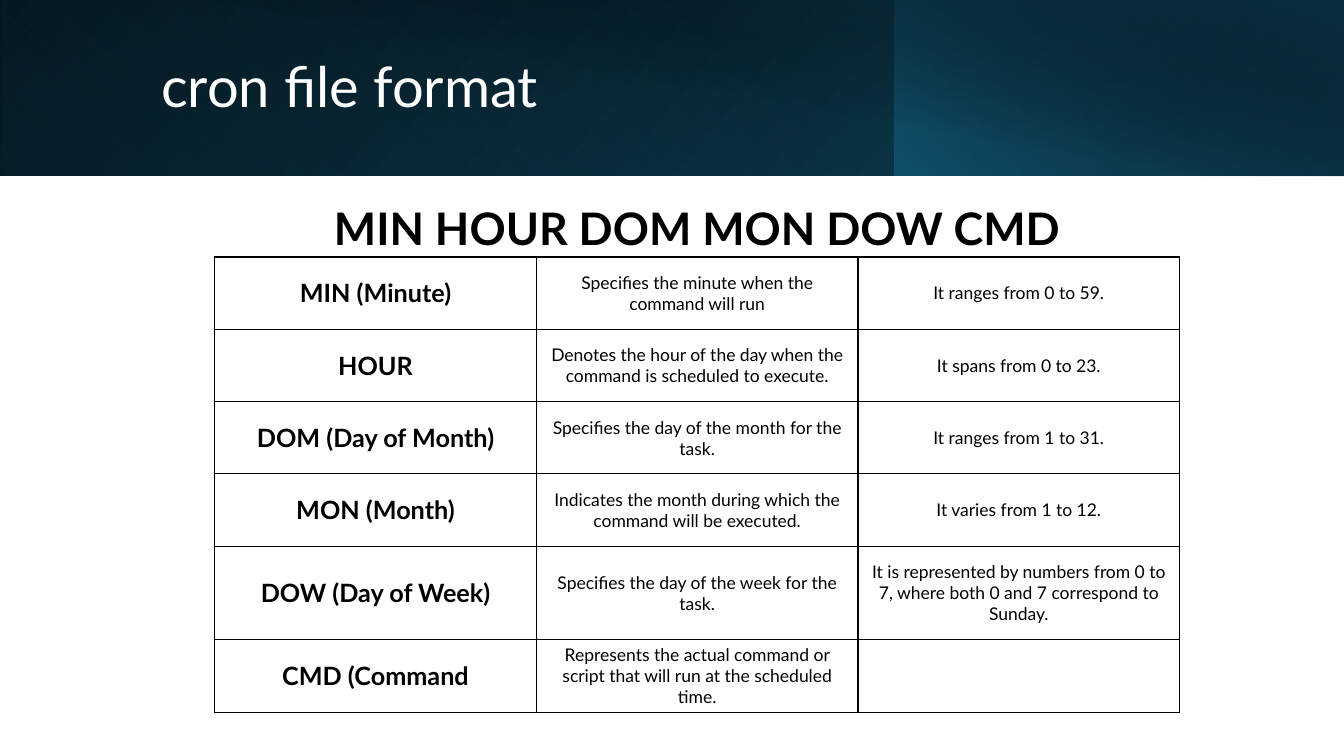
"""Build the cron file format slide."""
from lxml.etree import SubElement
from pptx import Presentation
from pptx.dml.color import RGBColor
from pptx.enum.shapes import MSO_SHAPE
from pptx.enum.text import MSO_ANCHOR, PP_ALIGN
from pptx.oxml import parse_xml
from pptx.oxml.ns import nsdecls, qn
from pptx.util import Inches, Pt

FONT = "Lato"
BLACK, WHITE = "000000", "FFFFFF"
TITLE = "cron file format"
SYNTAX = "MIN HOUR DOM MON DOW CMD"
FIELDS = [
    ("MIN (Minute)", "Specifies the minute when the command will run",
     "It ranges from 0 to 59."),
    ("HOUR", "Denotes the hour of the day when the command is scheduled to execute.",
     "It spans from 0 to 23."),
    ("DOM (Day of Month)", "Specifies the day of the month for the task.",
     "It ranges from 1 to 31."),
    ("MON (Month)", "Indicates the month during which the command will be executed.",
     "It varies from 1 to 12."),
    ("DOW (Day of Week)", "Specifies the day of the week for the task.",
     "It is represented by numbers from 0 to 7, where both 0 and 7 correspond to Sunday."),
    ("CMD (Command",
     "Represents the actual command or script that will run at the scheduled time.", ""),
]
ROW_HEIGHTS = [0.71, 0.71, 0.71, 0.71, 0.91, 0.72]
COL_WIDTH = 3.19
NAME_INSET, TEXT_INSET, TIGHT_INSET = (0.04, 0.07), (0.1, 0.15), (0.1, 0.05)

# left, width, height, rotation, flipped, angle, stops of (position, colour, opacity)
BANNER = [
    (0, 13.33, 1.74, 0, True, 140, [(0, BLACK, 100), (100, "104862", 100)]),
    (0, 8.88, 1.74, 180, True, 230, [(20, "156082", 0), (100, "0B3041", 55)]),
    (8.87, 4.46, 1.74, 0, True, 220, [(0, "156082", 66), (100, BLACK, 30)]),
    (0.5, 12.83, 1.75, 0, False, 280, [(50, BLACK, 0), (99, "0B3041", 52)]),
]


def rgb(color):
    return RGBColor.from_string(color)


def gradient(angle, stops):
    gs = "".join(
        f'<a:gs pos="{pos * 1000}"><a:srgbClr val="{color}">'
        f'<a:alpha val="{opacity * 1000}"/></a:srgbClr></a:gs>'
        for pos, color, opacity in stops)
    return parse_xml(
        f'<a:gradFill {nsdecls("a")} rotWithShape="1"><a:gsLst>{gs}</a:gsLst>'
        f'<a:lin ang="{angle * 60000}" scaled="0"/></a:gradFill>')


def add_band(slide, left, width, height, rotation, flipped, angle, stops):
    sp = slide.shapes.add_shape(MSO_SHAPE.RECTANGLE, Inches(left), 0,
                                Inches(width), Inches(height))
    sp.shadow.inherit = False
    sp.line.fill.background()
    sp.rotation = rotation
    spPr = sp._element.spPr
    if flipped:
        spPr.xfrm.set("flipH", "1")
    spPr.find(qn("a:prstGeom")).addnext(gradient(angle, stops))


def write(tf, text, size, color=BLACK, bold=False, align=PP_ALIGN.CENTER):
    p = tf.paragraphs[0]
    p.text = text
    p.alignment = align
    for r in p.runs:
        r.font.name, r.font.size, r.font.bold = FONT, Pt(size), bold
        r.font.color.rgb = rgb(color)
    return p


def add_text(slide, left, top, width, height, text, size, **style):
    tf = slide.shapes.add_textbox(*map(Inches, (left, top, width, height))).text_frame
    tf.word_wrap = True
    tf.vertical_anchor = MSO_ANCHOR.MIDDLE
    return write(tf, text, size, **style)


def set_borders(cell):
    tcPr = cell._tc.get_or_add_tcPr()
    for side in ("lnL", "lnR", "lnT", "lnB"):
        ln = SubElement(tcPr, qn(f"a:{side}"), w=str(Pt(1)))
        SubElement(SubElement(ln, qn("a:solidFill")), qn("a:srgbClr"), val=BLACK)


def add_fields(slide):
    table = slide.shapes.add_table(
        len(FIELDS), 3, Inches(2.13), Inches(2.55),
        Inches(3 * COL_WIDTH), Inches(sum(ROW_HEIGHTS))).table
    table.first_row = table.horz_banding = False
    for col in table.columns:
        col.width = Inches(COL_WIDTH)
    for i, (field, height) in enumerate(zip(FIELDS, ROW_HEIGHTS)):
        table.rows[i].height = Inches(height)
        for j, text in enumerate(field):
            cell = table.cell(i, j)
            set_borders(cell)
            cell.fill.background()
            cell.vertical_anchor = MSO_ANCHOR.MIDDLE
            last = i == len(FIELDS) - 1
            x, y = NAME_INSET if j == 0 else TIGHT_INSET if last else TEXT_INSET
            cell.margin_left = cell.margin_right = Inches(x)
            cell.margin_top = cell.margin_bottom = Inches(y)
            p = write(cell.text_frame, text, 18 if j == 0 else 12.5, bold=j == 0)
            p.space_after = Pt(7.5)


def main():
    prs = Presentation()
    prs.slide_width, prs.slide_height = Inches(13.33), Inches(7.5)
    slide = prs.slides.add_slide(prs.slide_layouts[6])
    for band in BANNER:
        add_band(slide, *band)
    title = add_text(slide, 1.5, 0.32, 10.82, 1.13, TITLE, 40,
                     color=WHITE, align=PP_ALIGN.LEFT)
    title.line_spacing = 0.9
    syntax = add_text(slide, 1.35, 1.42, 11.13, 1.31, SYNTAX, 32, bold=True)
    syntax.line_spacing = 1.7
    syntax.space_before = Pt(10)
    add_fields(slide)
    prs.save("out.pptx")


if __name__ == "__main__":
    main()
